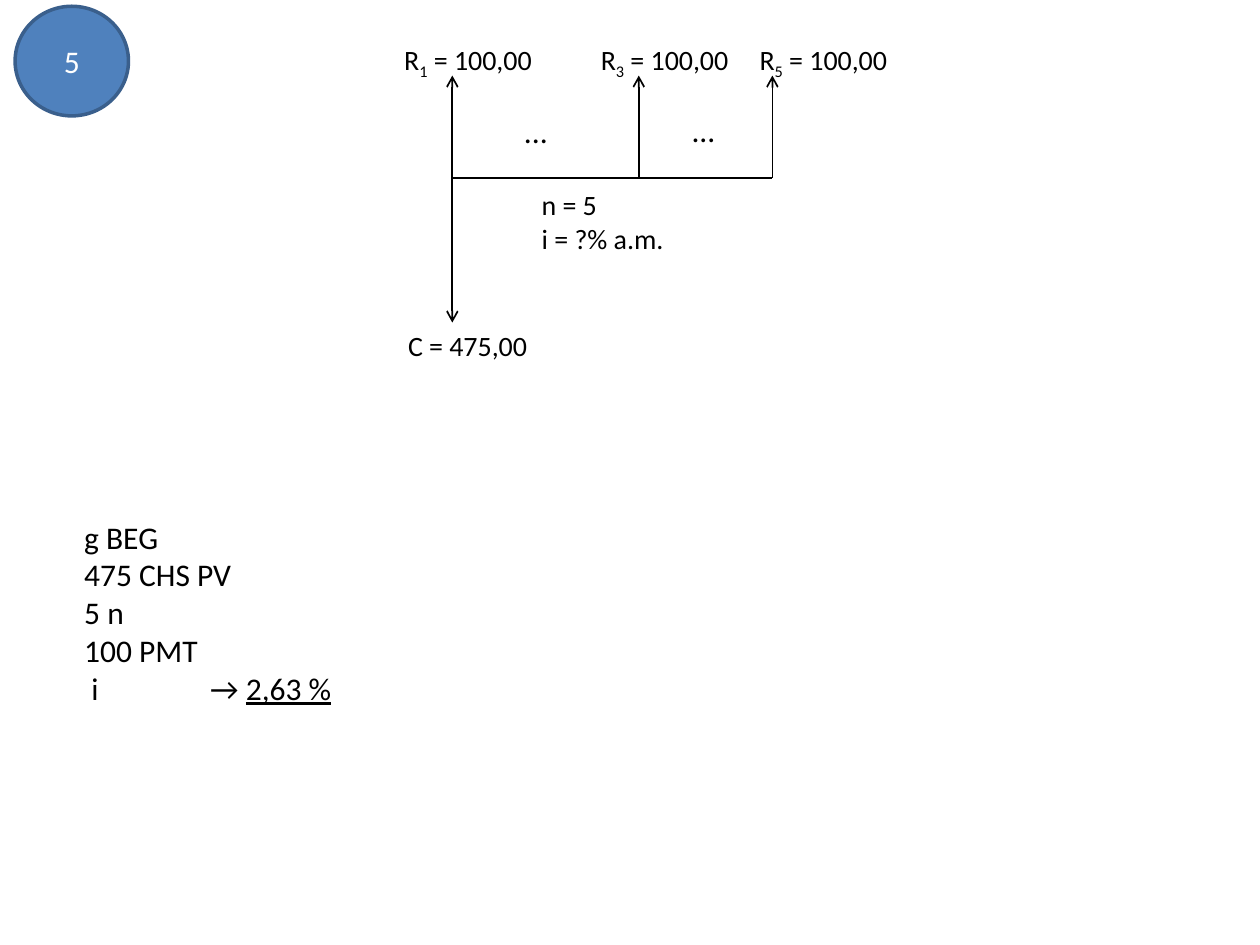
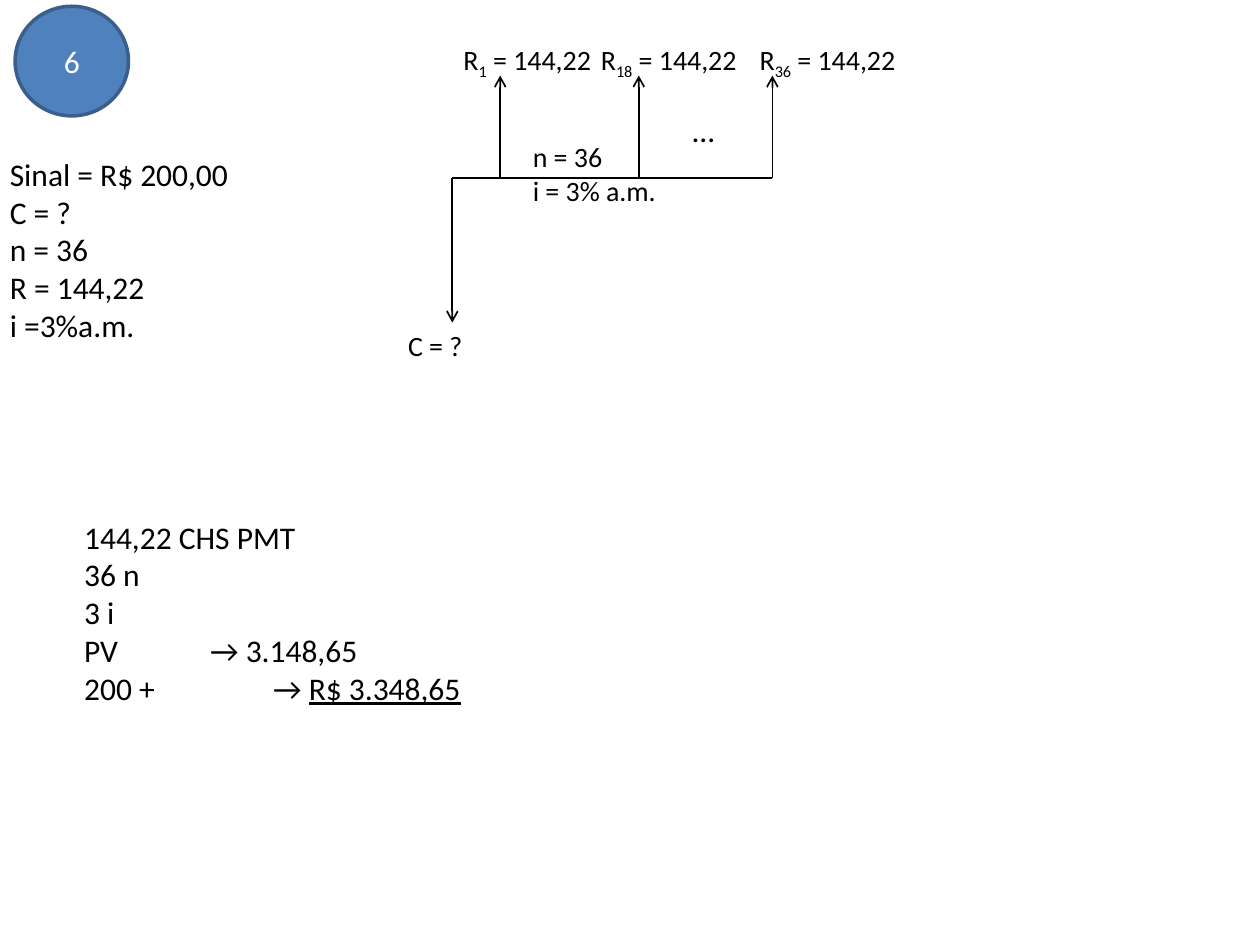
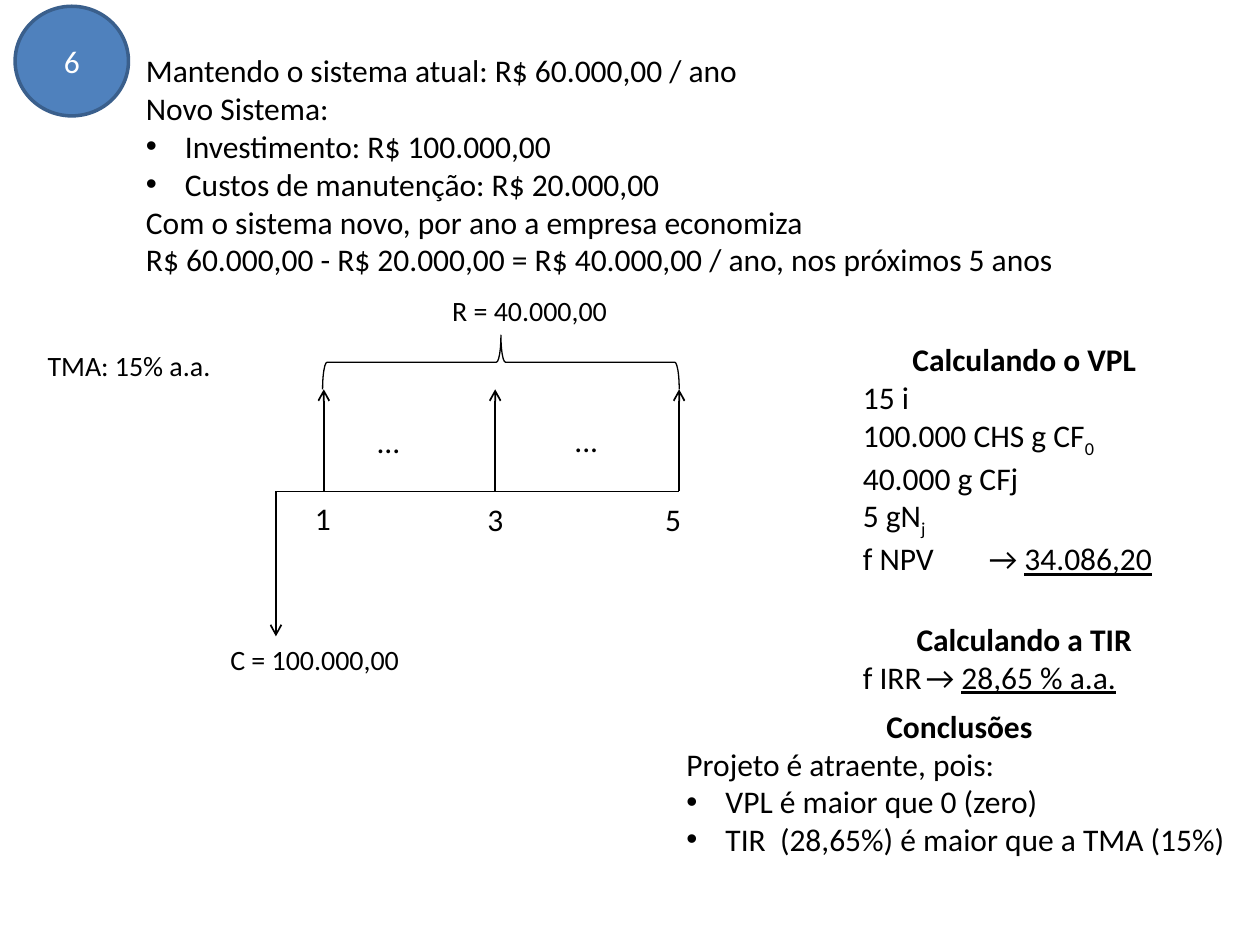
from dataclasses import dataclass

from lxml import etree
from pptx import Presentation
from pptx.dml.color import RGBColor
from pptx.enum.shapes import MSO_CONNECTOR, MSO_SHAPE
from pptx.enum.text import MSO_ANCHOR, MSO_AUTO_SIZE, PP_ALIGN
from pptx.oxml.ns import qn
from pptx.util import Inches, Pt

STRAIGHT = MSO_CONNECTOR.STRAIGHT
ELLIPSE, BRACE = MSO_SHAPE.OVAL, MSO_SHAPE.LEFT_BRACE
MIDDLE = MSO_ANCHOR.MIDDLE
FIT_SHAPE = MSO_AUTO_SIZE.SHAPE_TO_FIT_TEXT
LEFT, CENTER, JUSTIFY = PP_ALIGN.LEFT, PP_ALIGN.CENTER, PP_ALIGN.JUSTIFY

COLORS = {"badge": "4F81BD", "badge line": "3A5F8C", "ink": "000000", "paper": "FFFFFF"}
FONT = "Calibri"
BODY, LABEL = 18, 16
BULLET_INDENT = 0.31
RISE, DROP = 0.81, 1.15


@dataclass
class Line:
    """A paragraph; each run is a string or a (text, style) pair."""
    runs: list
    align: PP_ALIGN = LEFT
    bullet: bool = False
    space_before: float = 0


def heading(text, space_before=0):
    return Line([(text, "bold")], CENTER, space_before=space_before)


def payment(period, value):
    return Line(["R", (period, "sub"), f" = {value}"])


# Timelines: axis start, axis end, axis height, payment positions
# Texts: left, top, width, size, lines
SLIDES = [
    {
        "number": "5",
        "timeline": (3.59, 6.13, 1.41, [3.59, 5.07, 6.13]),
        "texts": [
            (3.14, 2.56, 1.16, LABEL, ["C = 475,00"]),
            (4.2, 1.44, 1.19, LABEL, ["n = 5", "i = ?% a.m."]),
            (3.11, 0.29, 1.24, LABEL, [payment("1", "100,00")]),
            (4.67, 0.29, 1.24, LABEL, [payment("3", "100,00")]),
            (5.93, 0.29, 1.24, LABEL, [payment("5", "100,00")]),
            (4.06, 0.84, 0.39, BODY, ["..."]),
            (5.39, 0.83, 0.39, BODY, ["..."]),
            (0.57, 4.06, 3.21, BODY, [
                "g BEG", "475 CHS PV", "5 n", "100 PMT",
                Line([" i\t\t→ ", ("2,63 %", "underline")]),
            ]),
        ],
    },
    {
        "number": "6",
        "timeline": (3.59, 6.13, 1.41, [3.97, 5.07, 6.13]),
        "texts": [
            (3.14, 2.56, 0.64, LABEL, ["C = ?"]),
            (4.13, 1.06, 1.19, LABEL, ["n = 36", "i = 3% a.m."]),
            (3.58, 0.29, 1.24, LABEL, [payment("1", "144,22")]),
            (4.67, 0.29, 1.32, LABEL, [payment("18", "144,22")]),
            (5.93, 0.29, 1.32, LABEL, [payment("36", "144,22")]),
            (5.39, 0.83, 0.39, BODY, ["..."]),
            (-0.02, 1.18, 1.96, BODY, [
                "Sinal = R$ 200,00", "C = ?", "n = 36", "R = 144,22", "i =3%a.m.",
            ]),
            (0.57, 4.06, 3.74, BODY, [
                "144,22 CHS PMT", "36 n", "3 i", "PV\t\t→ 3.148,65",
                Line(["200 +\t\t→ ", ("R$ 3.348,65", "underline")]),
            ]),
        ],
    },
    {
        "number": "6",
        "timeline": (2.19, 5.39, 3.9, [2.57, 3.93, 5.39]),
        "brace": (3.76, 1.46, 0.43, 2.83),
        "texts": [
            (1.06, 0.36, 7.48, BODY, [
                "Mantendo o sistema atual: R$ 60.000,00 / ano",
                "Novo Sistema:",
                Line(["Investimento: R$ 100.000,00"], bullet=True),
                Line(["Custos de manutenção: R$ 20.000,00"], bullet=True),
                "Com o sistema novo, por ano a empresa economiza",
                "R$ 60.000,00 - R$ 20.000,00 = R$ 40.000,00 / ano, nos próximos 5 anos",
            ]),
            (1.73, 5.05, 1.56, LABEL, ["C = 100.000,00"]),
            (3.49, 2.28, 1.45, LABEL, ["R = 40.000,00"]),
            (0.28, 2.72, 1.56, LABEL, ["TMA: 15% a.a."]),
            (2.89, 3.3, 0.39, BODY, ["..."]),
            (4.46, 3.29, 0.39, BODY, ["..."]),
            (2.4, 3.91, 0.33, BODY, ["1"]),
            (3.77, 3.92, 0.33, BODY, ["3"]),
            (5.18, 3.92, 0.33, BODY, ["5"]),
            (6.75, 2.65, 2.76, BODY, [
                heading("Calculando o VPL"),
                Line(["15 i"], JUSTIFY),
                Line(["100.000 CHS g CF", ("0", "sub")], JUSTIFY),
                Line(["40.000 g CFj"], JUSTIFY),
                Line(["5 gN", ("j", "sub")], JUSTIFY),
                Line(["f NPV\t→ ", ("34.086,20", "underline")], JUSTIFY),
                heading("Calculando a TIR", space_before=24.5),
                Line(["f IRR\t→ ", ("28,65 % a.a.", "underline")]),
            ]),
            (5.35, 5.56, 4.53, BODY, [
                heading("Conclusões"),
                Line(["Projeto é atraente, pois:"], JUSTIFY),
                Line(["VPL é maior que 0 (zero)"], JUSTIFY, bullet=True),
                Line(["TIR  (28,65%) é maior que a TMA (15%)"], JUSTIFY, bullet=True),
            ]),
        ],
    },
]


def color(name):
    return RGBColor.from_string(COLORS[name])


def add_run(paragraph, text, size, style=None, ink="ink"):
    run = paragraph.add_run()
    run.text = text
    font = run.font
    font.name, font.size = FONT, Pt(size)
    font.color.rgb = color(ink)
    if style == "bold":
        font.bold = True
    elif style == "underline":
        font.underline = True
    elif style == "sub":
        run._r.get_or_add_rPr().set("baseline", "-25000")


def add_bullet(paragraph):
    properties = paragraph._p.get_or_add_pPr()
    properties.set("marL", str(Inches(BULLET_INDENT)))
    properties.set("indent", str(-Inches(BULLET_INDENT)))
    etree.SubElement(properties, qn("a:buFont")).set("typeface", "Arial")
    etree.SubElement(properties, qn("a:buChar")).set("char", "•")


def add_text(slide, left, top, width, size, lines):
    height = 0.1 + len(lines) * size * 1.22 / 72
    box = slide.shapes.add_textbox(Inches(left), Inches(top), Inches(width), Inches(height))
    frame = box.text_frame
    frame.word_wrap = False
    frame.auto_size = FIT_SHAPE
    for index, line in enumerate(lines):
        if isinstance(line, str):
            line = Line([line])
        paragraph = frame.add_paragraph() if index else frame.paragraphs[0]
        paragraph.alignment = line.align
        if line.space_before:
            paragraph.space_before = Pt(line.space_before)
        if line.bullet:
            add_bullet(paragraph)
        for run in line.runs:
            text, style = (run, None) if isinstance(run, str) else run
            add_run(paragraph, text, size, style)


def add_line(slide, start, end, arrow=True):
    connector = slide.shapes.add_connector(STRAIGHT, *map(Inches, start + end))
    connector.line.color.rgb = color("ink")
    connector.line.width = Pt(1)
    if arrow:
        etree.SubElement(connector.line._get_or_add_ln(), qn("a:tailEnd")).set("type", "arrow")
    etree.SubElement(connector._element.spPr, qn("a:effectLst"))


def add_timeline(slide, start, end, axis, payments):
    """Axis with the capital pointing down and the payments pointing up."""
    add_line(slide, (start, axis), (start, axis + DROP))
    add_line(slide, (start, axis), (end, axis), arrow=False)
    for position in payments:
        add_line(slide, (position, axis), (position, axis - RISE))


def add_badge(slide, number):
    badge = slide.shapes.add_shape(ELLIPSE, *map(Inches, (0.12, 0.05, 0.9, 0.87)))
    badge.shadow.inherit = False
    badge.fill.solid()
    badge.fill.fore_color.rgb = color("badge")
    badge.line.color.rgb = color("badge line")
    badge.line.width = Pt(2)
    badge.text_frame.vertical_anchor = MIDDLE
    paragraph = badge.text_frame.paragraphs[0]
    paragraph.alignment = CENTER
    add_run(paragraph, number, BODY, ink="paper")


def add_brace(slide, place):
    brace = slide.shapes.add_shape(BRACE, *map(Inches, place))
    brace.rotation = 90
    brace.shadow.inherit = False
    brace.fill.background()
    brace.line.color.rgb = color("ink")
    brace.line.width = Pt(0.75)


def main():
    presentation = Presentation()
    presentation.slide_width, presentation.slide_height = Inches(10), Inches(7.5)
    blank = presentation.slide_layouts.get_by_name("Blank")
    for content in SLIDES:
        slide = presentation.slides.add_slide(blank)
        add_badge(slide, content["number"])
        add_timeline(slide, *content["timeline"])
        if "brace" in content:
            add_brace(slide, content["brace"])
        for text in content["texts"]:
            add_text(slide, *text)
    presentation.save("out.pptx")


if __name__ == "__main__":
    main()
